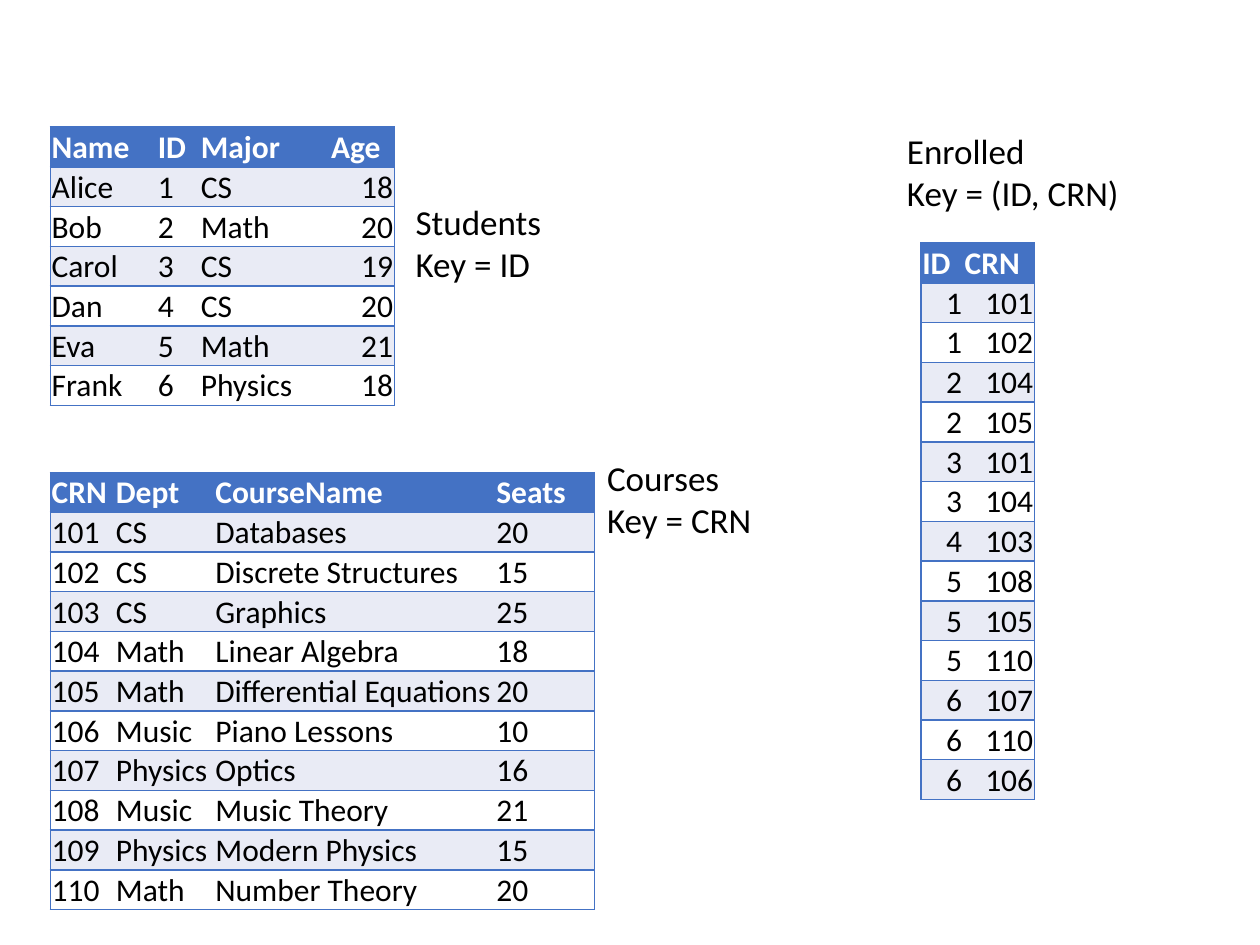
from lxml import etree
from pptx import Presentation
from pptx.dml.color import RGBColor
from pptx.enum.text import MSO_ANCHOR, PP_ALIGN
from pptx.oxml.ns import qn
from pptx.util import Inches, Pt

BOTTOM = MSO_ANCHOR.BOTTOM
ALIGN = {"l": PP_ALIGN.LEFT, "r": PP_ALIGN.RIGHT}
FONT = "Calibri"
COLORS = {"head": "4472C4", "band": "E9EBF5", "plain": "FFFFFF",
          "light": "FFFFFF", "text": "000000"}
# The slide is a grid of 100 columns by 75 rows.
COLS, ROWS = 100, 75
UNIT = Inches(0.1)
ROW = 3.1
INSET = Inches(0.01)
CELL = {"margin_left": INSET, "margin_right": INSET, "margin_top": INSET,
        "margin_bottom": 0, "vertical_anchor": BOTTOM}

STUDENTS = [
    ("Name", "ID", "Major", "Age"),
    ("Alice", 1, "CS", 18),
    ("Bob", 2, "Math", 20),
    ("Carol", 3, "CS", 19),
    ("Dan", 4, "CS", 20),
    ("Eva", 5, "Math", 21),
    ("Frank", 6, "Physics", 18),
]
COURSES = [
    ("CRN", "Dept", "CourseName", "Seats"),
    (101, "CS", "Databases", 20),
    (102, "CS", "Discrete Structures", 15),
    (103, "CS", "Graphics", 25),
    (104, "Math", "Linear Algebra", 18),
    (105, "Math", "Differential Equations", 20),
    (106, "Music", "Piano Lessons", 10),
    (107, "Physics", "Optics", 16),
    (108, "Music", "Music Theory", 21),
    (109, "Physics", "Modern Physics", 15),
    (110, "Math", "Number Theory", 20),
]
ENROLLED = [
    ("ID", "CRN"),
    (1, 101), (1, 102), (2, 104), (2, 105), (3, 101), (3, 104), (4, 103),
    (5, 108), (5, 105), (5, 110), (6, 107), (6, 110), (6, 106),
]


def span(n):
    return round(n * UNIT)


def color(name):
    return RGBColor.from_string(COLORS[name])


def style(font, size, tint, bold=False):
    form = {"name": FONT, "size": Pt(size), "bold": bold}
    for key, value in form.items():
        setattr(font, key, value)
    font.color.rgb = color(tint)


def set_edges(cell, first, last):
    """Rule each row above and below; rule the sides only at the table's rim."""
    props = cell._tc.get_or_add_tcPr()
    for side, shown in {"L": first, "R": last, "T": True, "B": True}.items():
        line = etree.SubElement(props, qn(f"a:ln{side}"), w=str(Pt(1)))
        if shown:
            fill = etree.SubElement(line, qn("a:solidFill"))
            etree.SubElement(fill, qn("a:srgbClr"), val=COLORS["head"])
        else:
            etree.SubElement(line, qn("a:noFill"))


def add_grid(slide, box, rows, shares, sides):
    """Fill box (left, top, width) with rows; sides holds l or r per column."""
    left, top, width = box
    frame = slide.shapes.add_table(
        len(rows), len(shares), span(left), span(top),
        span(width), span(ROW * len(rows)))
    table = frame.table
    table.horz_banding = False
    for col, share in zip(table.columns, shares):
        col.width = span(width * share / sum(shares))
    for r, row in enumerate(rows):
        head = r == 0
        back = "head" if head else "band" if r % 2 else "plain"
        for c, value in enumerate(row):
            cell = table.cell(r, c)
            for key, form in CELL.items():
                setattr(cell, key, form)
            set_edges(cell, c == 0, c == len(row) - 1)
            cell.fill.solid()
            cell.fill.fore_color.rgb = color(back)
            para = cell.text_frame.paragraphs[0]
            para.alignment = ALIGN["l" if head else sides[c]]
            run = para.add_run()
            run.text = str(value)
            style(run.font, 18, "light" if head else "text", head)


def add_label(slide, left, top, name, key):
    shape = slide.shapes.add_textbox(
        span(left), span(top), span(22), span(7.7))
    frame = shape.text_frame
    frame.word_wrap = True
    frame.text = f"{name}\nKey = {key}"
    for para in frame.paragraphs:
        style(para.runs[0].font, 20, "text")


def main():
    deck = Presentation()
    deck.slide_width, deck.slide_height = span(COLS), span(ROWS)
    slide = deck.slides.add_slide(deck.slide_layouts.get_by_name("Blank"))
    add_grid(slide, (4, 10.1, 27.3), STUDENTS, (84, 34, 103, 51), "lllr")
    add_grid(slide, (4, 37.5, 43.2), COURSES, (51, 79, 223, 79), "llll")
    add_grid(slide, (73.1, 19.3, 9), ENROLLED, (34, 57), "rr")
    add_label(slide, 32, 15.4, "Students", "ID")
    add_label(slide, 47.2, 35.7, "Courses", "CRN")
    add_label(slide, 71, 9.8, "Enrolled", "(ID, CRN)")
    deck.save("out.pptx")


if __name__ == "__main__":
    main()
